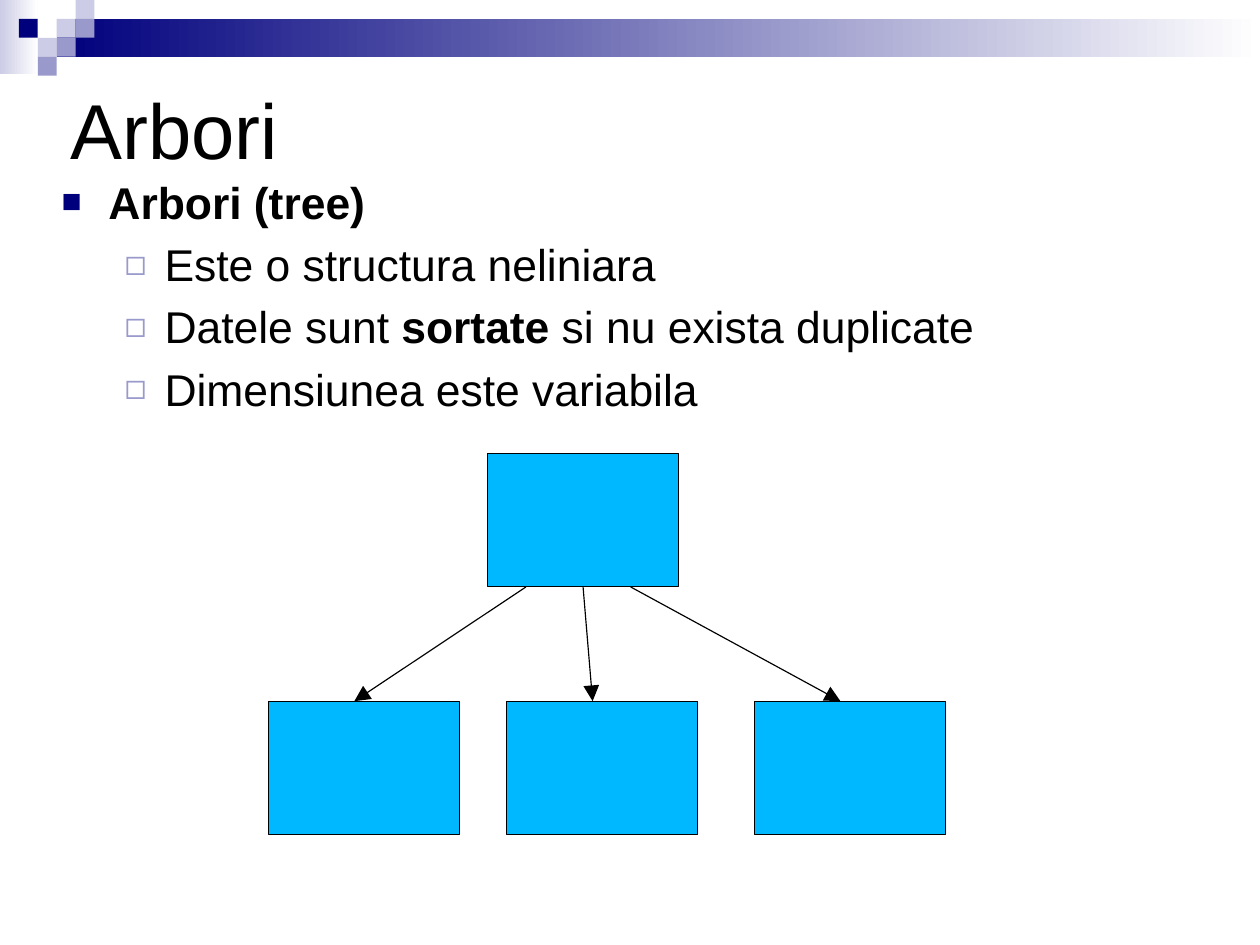
from lxml import etree
from pptx import Presentation
from pptx.dml.color import RGBColor
from pptx.enum.shapes import MSO_CONNECTOR, MSO_SHAPE
from pptx.enum.text import MSO_ANCHOR
from pptx.oxml.ns import qn
from pptx.util import Cm, Inches, Pt

RECT = MSO_SHAPE.RECTANGLE
STRAIGHT = MSO_CONNECTOR.STRAIGHT
TOP, MIDDLE = MSO_ANCHOR.TOP, MSO_ANCHOR.MIDDLE

PAGE_W, PAGE_H = Cm(28), Cm(21)
SLIDE_W, SLIDE_H = PAGE_W.inches, PAGE_H.inches
FONT = "Arial"
NAVY, LAVENDER, PALE = "00007D", "9999CC", "CCCCE6"
NODE_BLUE, BLACK, WHITE = "00B8FF", "000000", "FFFFFF"

# Bullet character, colour, size in percent, text indent, hanging indent
BULLETS = [("■", NAVY, 75, 0.41, 0.41), ("◻", LAVENDER, 80, 0.9, 0.35)]
# Level and runs (text, bold) of each point
POINTS = [
    (0, [("Arbori (tree)", True)]),
    (1, [("Este o structura neliniara", False)]),
    (1, [("Datele sunt ", False), ("sortate", True),
         (" si nu exista duplicate", False)]),
    (1, [("Dimensiunea este variabila", False)]),
]
# Column, row and colour of each mosaic tile
TILES = [(3, 1, PALE), (4, 0, PALE), (4, 1, LAVENDER), (2, 2, PALE),
         (1, 1, NAVY), (3, 2, LAVENDER), (2, 3, LAVENDER)]


def colour(value):
    return RGBColor.from_string(value)


def add_rect(slide, box, fill, fade_to=None, line=None):
    rect = slide.shapes.add_shape(RECT, *map(Inches, box))
    rect.shadow.inherit = False
    if fade_to:
        rect.fill.gradient()
        rect.fill.gradient_angle = 0
        for stop, shade in zip(rect.fill.gradient_stops, (fill, fade_to)):
            stop.color.rgb = colour(shade)
    else:
        rect.fill.solid()
        rect.fill.fore_color.rgb = colour(fill)
    if line:
        rect.line.color.rgb = colour(line)
        rect.line.width = Pt(0.75)
    else:
        rect.line.fill.background()


def add_arrow(slide, start, end):
    arrow = slide.shapes.add_connector(STRAIGHT, *map(Inches, start + end))
    arrow.line.color.rgb = colour(BLACK)
    arrow.line.width = Pt(0.75)
    etree.SubElement(arrow.line._get_or_add_ln(), qn("a:tailEnd"),
                     type="triangle", w="lg", len="lg")
    etree.SubElement(arrow._element.spPr, qn("a:effectLst"))


def add_bullet(paragraph, char, shade, percent, indent, hanging):
    props = paragraph._p.get_or_add_pPr()
    props.set("marL", str(Inches(indent)))
    props.set("indent", str(-Inches(hanging)))
    bullet_colour = etree.SubElement(props, qn("a:buClr"))
    etree.SubElement(bullet_colour, qn("a:srgbClr"), val=shade)
    etree.SubElement(props, qn("a:buSzPct"), val=str(percent * 1000))
    etree.SubElement(props, qn("a:buFont"), typeface=FONT)
    etree.SubElement(props, qn("a:buChar"), char=char)


def add_text(slide, box, paragraphs, size, anchor=TOP, bullets=None, gap=0):
    frame = slide.shapes.add_textbox(*map(Inches, box)).text_frame
    frame.word_wrap = True
    frame.vertical_anchor = anchor
    frame.margin_left = frame.margin_right = Inches(0.11)
    frame.margin_top = frame.margin_bottom = Inches(0.06)
    for index, (level, runs) in enumerate(paragraphs):
        paragraph = frame.add_paragraph() if index else frame.paragraphs[0]
        paragraph.level = level
        if bullets:
            add_bullet(paragraph, *bullets[level])
        if index:
            paragraph.space_before = Pt(gap)
        for words, bold in runs:
            run = paragraph.add_run()
            run.text = words
            run.font.name = FONT
            run.font.size = Pt(size)
            run.font.bold = bold
            run.font.color.rgb = colour(BLACK)


def draw_header(slide, box):
    left, top, width, height = box
    tile = height / 4
    add_rect(slide, (left, top, 2 * tile, 3.9 * tile), PALE, fade_to=WHITE)
    add_rect(slide, (left + 3 * tile, top + tile, width - 3 * tile, 2 * tile),
             NAVY, fade_to=WHITE)
    for column, row, shade in TILES:
        add_rect(slide, (left + column * tile, top + row * tile, tile, tile), shade)


def draw_tree(slide, box):
    left, top, width, height = box
    cell_w, cell_h = width / 71, height / 40
    node_columns, node_rows, child_row = 20, 14, 26

    def at(column, row):
        return left + column * cell_w, top + row * cell_h

    def add_node(column, row):
        size = (node_columns * cell_w, node_rows * cell_h)
        add_rect(slide, at(column, row) + size, NODE_BLUE, line=BLACK)

    # Root, then each child with the arrow that leads to it
    add_node(23, 0)
    for child_column, arrow_column in [(0, 27), (25, 33), (51, 38)]:
        add_node(child_column, child_row)
        add_arrow(slide, at(arrow_column, node_rows),
                  at(child_column + 9, child_row))


def main():
    deck = Presentation()
    deck.slide_width, deck.slide_height = PAGE_W, PAGE_H
    slide = deck.slides.add_slide(deck.slide_layouts[6])
    text_w = 0.9 * SLIDE_W

    draw_header(slide, (0, 0, SLIDE_W, 0.08 * SLIDE_H))
    # Title and points
    add_text(slide, (0.51, 0.3, text_w, 0.2 * SLIDE_H),
             [(0, [("Arbori", False)])], size=49, anchor=MIDDLE)
    add_text(slide, (0.43, 1.47, text_w, 0.3 * SLIDE_H), POINTS,
             size=28, bullets=BULLETS, gap=5.6)
    draw_tree(slide, (2.35, 3.97, 5.92, 3.33))

    deck.save("out.pptx")


if __name__ == "__main__":
    main()
